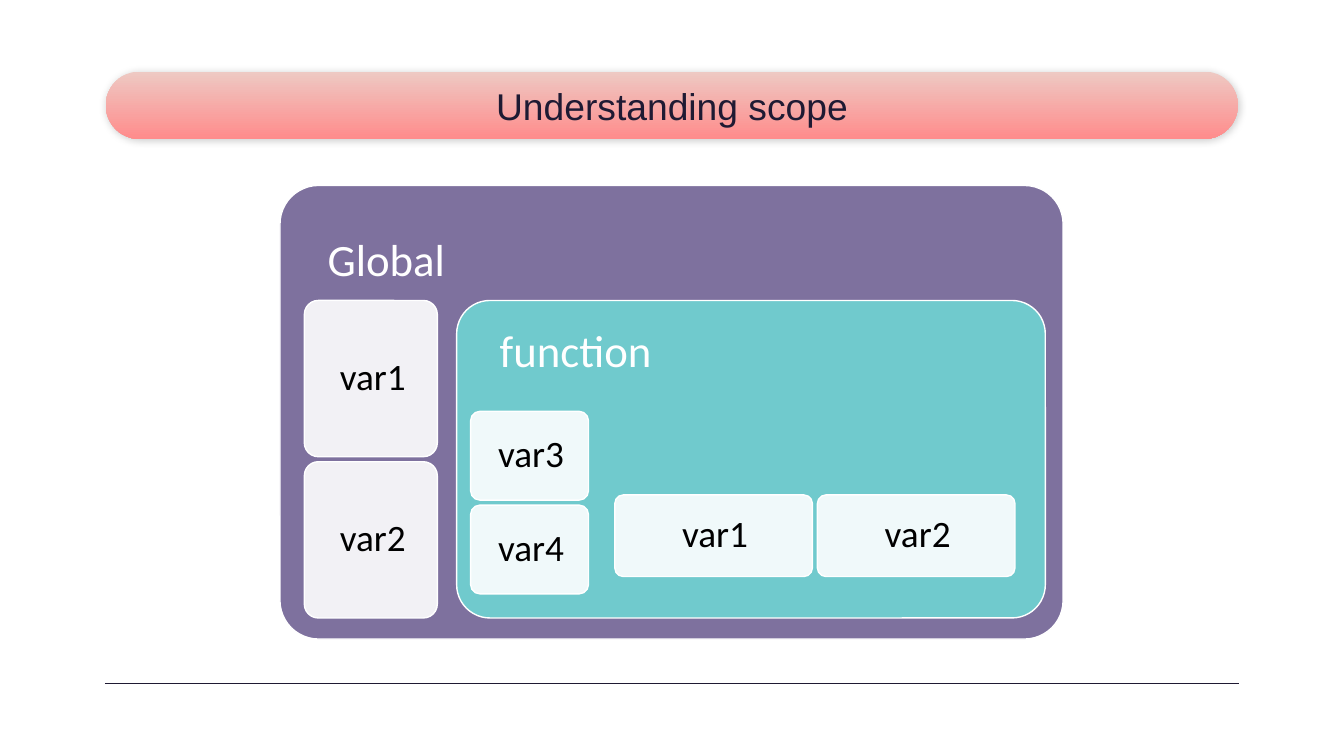
"""Build the slide that explains global and function scope with nested boxes."""
from dataclasses import dataclass

from lxml import etree
from pptx import Presentation
from pptx import util as u
from pptx.dml.color import RGBColor
from pptx.enum import shapes, text
from pptx.oxml import ns

COLORS = {
    "ink": "1F1A33", "bar_top": "EEC9C3", "bar_bottom": "FF8C8C",
    "global": "7E719E", "function": "70CACD", "white": "FFFFFF", "black": "000000",
}


@dataclass(frozen=True)
class Scope:
    name: str
    fill: str
    box: tuple[float, float, float, float]
    corner: float
    insets: tuple[float, float, float, float]
    spacing: float


@dataclass(frozen=True)
class VariableRun:
    names: tuple[str, ...]
    box: tuple[float, float, float, float]
    step: tuple[float, float]
    insets: tuple[float, float, float, float]


SMALL_INSETS = (14.4, 14.4, 12.2, 14.4)
SCOPES = [
    (Scope("Global", "global", (200, 132.5, 559.4, 324), 0.085,
           (25.9, 25.9, 14.4, 360.7), 2),
     [VariableRun(("var1", "var2"), (217.4, 214.6, 95, 111.6), (0, 115.2),
                  (15.1, 15.1, 12.2, 15.1))]),
    (Scope("function", "function", (326.2, 214.6, 420.5, 226.8), 0.105,
           (23.8, 23.8, 14.4, 209.5), 0.9),
     [VariableRun(("var3", "var4"), (336.2, 293.8, 84.2, 63.4), (0, 67), SMALL_INSETS),
      VariableRun(("var1", "var2"), (439.2, 353.5, 141.1, 58.3), (144.7, 0), SMALL_INSETS)]),
]


def rgb(name: str) -> RGBColor:
    return RGBColor.from_string(COLORS[name])


def child(parent, tag: str, **attrs: str):
    return etree.SubElement(parent, ns.qn(tag), attrs)


def add_round(container, box, corner: float):
    sp = container.add_shape(shapes.MSO_SHAPE.ROUNDED_RECTANGLE, *map(u.Pt, box))
    sp.adjustments[0] = corner
    sp.shadow.inherit = False
    return sp


def write(sp, words: str, size: float, font: str, color: str, insets, align, anchor):
    tf = sp.text_frame
    tf.word_wrap = True
    tf.auto_size = text.MSO_AUTO_SIZE.NONE
    tf.vertical_anchor = anchor
    tf.margin_left, tf.margin_top, tf.margin_right, tf.margin_bottom = map(u.Pt, insets)
    p = tf.paragraphs[0]
    p.alignment = align
    r = p.add_run()
    r.text = words
    r.font.size, r.font.name = u.Pt(size), font
    r.font.color.rgb = rgb(color)
    return p


def add_box(container, words: str, box, corner: float, fill: str, size: float,
            color: str, insets, align, anchor, spacing: float, after: float):
    sp = add_round(container, box, corner)
    sp.fill.solid()
    sp.fill.fore_color.rgb = rgb(fill)
    sp.line.color.rgb = rgb("white")
    sp.line.width = u.Pt(1)
    p = write(sp, words, size, "Calibri", color, insets, align, anchor)
    p.line_spacing, p.space_after = spacing, u.Pt(after)
    return sp


def add_scope(container, scope: Scope) -> None:
    add_box(container, scope.name, scope.box, scope.corner, scope.fill, 32, "white",
            scope.insets, text.PP_ALIGN.LEFT, text.MSO_ANCHOR.TOP, scope.spacing, 12.6)


def add_variables(container, run: VariableRun) -> None:
    x, y, w, h = run.box
    dx, dy = run.step
    for i, name in enumerate(run.names):
        sp = add_box(container, name, (x + i * dx, y + i * dy, w, h), 0.105, "white",
                     26.6, "black", run.insets, text.PP_ALIGN.CENTER,
                     text.MSO_ANCHOR.MIDDLE, 0.9, 10.5)
        fill = sp.element.spPr.find(ns.qn("a:solidFill"))
        child(fill[0], "a:alpha", val="90000")


def add_title(s) -> None:
    bar = add_round(s.shapes, (75.6, 51.1, 808.6, 48.2), 0.5)
    bar.fill.gradient()
    bar.fill.gradient_angle = 270
    for stop, name in zip(bar.fill.gradient_stops, ("bar_top", "bar_bottom")):
        stop.color.rgb = rgb(name)
    bar.fill.gradient_stops[0].position = 0
    bar.fill.gradient_stops[1].position = 1
    bar.line.fill.background()
    effects = bar.element.spPr.find(ns.qn("a:effectLst"))
    shadow = child(effects, "a:outerShdw", blurRad=str(u.Pt(5.6)), dist=str(u.Pt(0.8)),
                   dir=str(66 * 60000), algn="ctr", rotWithShape="0")
    child(child(shadow, "a:srgbClr", val=COLORS["black"]), "a:alpha", val="20000")

    title = s.shapes.title
    title.left, title.top, title.width, title.height = map(u.Pt, (237.6, 51.1, 485.3, 48.2))
    write(title, "Understanding scope", 26.6, "Arial", "ink", (7.2,) * 4,
          text.PP_ALIGN.CENTER, text.MSO_ANCHOR.MIDDLE)
    bar.element.addnext(title.element)


def add_rule(s) -> None:
    rule = s.shapes.add_connector(shapes.MSO_CONNECTOR.STRAIGHT,
                                  *map(u.Pt, (75, 488.2, 885, 488.2)))
    rule.line.color.rgb = rgb("ink")
    rule.line.width = u.Pt(0.75)
    child(rule.element.spPr, "a:effectLst")


def main() -> None:
    prs = Presentation()
    prs.slide_width, prs.slide_height = u.Pt(960), u.Pt(540)
    s = prs.slides.add_slide(prs.slide_layouts[5])
    add_title(s)
    add_rule(s)
    diagram = s.shapes.add_group_shape().shapes
    for scope, runs in SCOPES:
        add_scope(diagram, scope)
        for run in runs:
            add_variables(diagram, run)
    prs.save("out.pptx")


if __name__ == "__main__":
    main()
